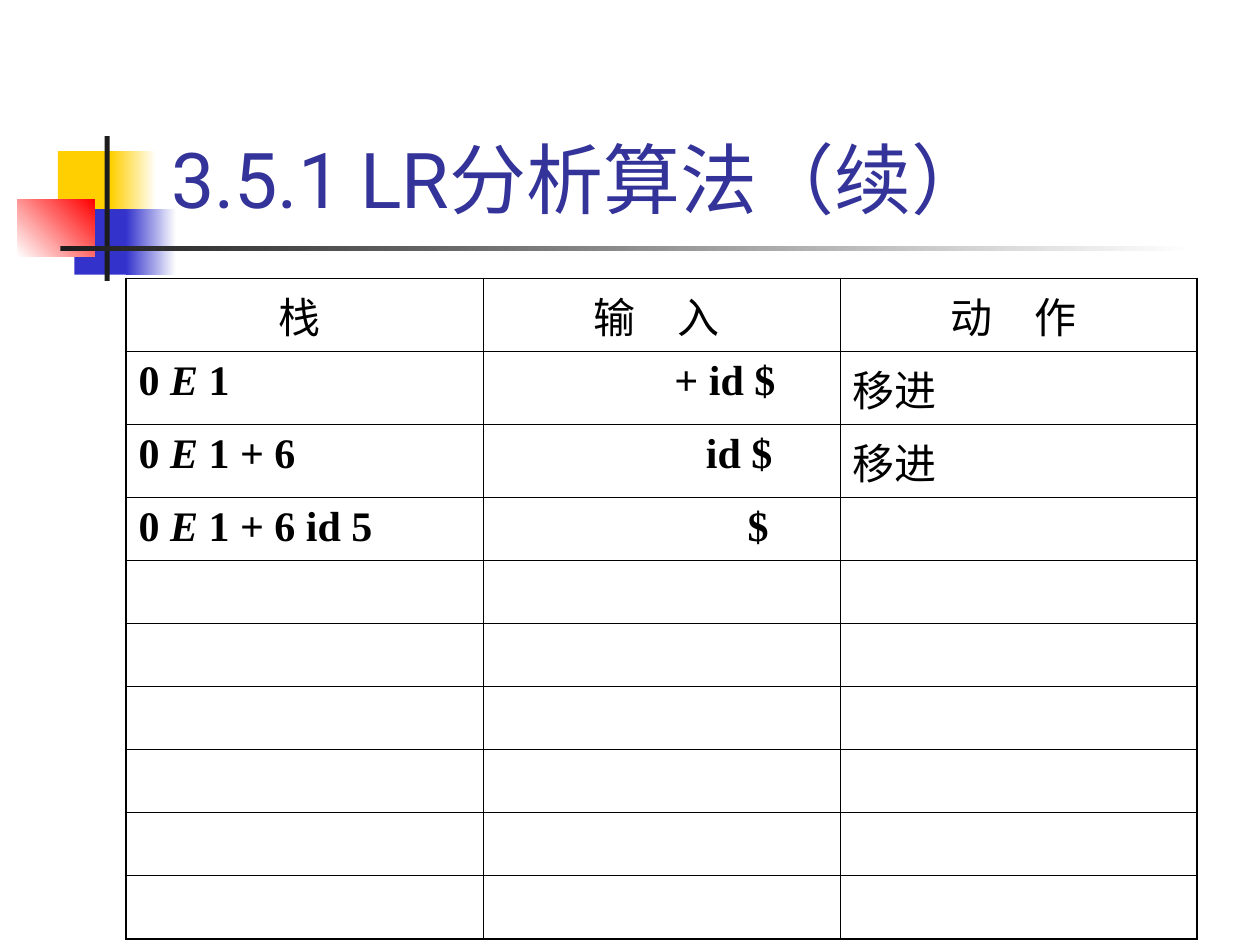
from dataclasses import dataclass

from lxml import etree
from pptx import Presentation
from pptx.dml.color import RGBColor
from pptx.enum.shapes import MSO_SHAPE
from pptx.enum.text import MSO_ANCHOR, PP_ALIGN
from pptx.oxml.ns import qn
from pptx.util import Inches, Pt

RECT = MSO_SHAPE.RECTANGLE
LOW = MSO_ANCHOR.BOTTOM
LEFT, MID = PP_ALIGN.LEFT, PP_ALIGN.CENTER
SANS, SERIF, LATIN = "Noto Sans CJK SC", "Times New Roman", "Roboto"
HUES = {"gold": "FFCF01", "blue": "3333CC", "red": "FF0000", "dark": "1C1C1C",
        "white": "FFFFFF", "title": "333399", "black": "000000"}
TALL, SHORT = 0.58, 0.5
HEIGHTS = [TALL] * 3 + [SHORT] * 7
ROWS, COLS = len(HEIGHTS), 3
THIN, THICK = 0.45, 1.08


@dataclass
class Block:
    left: float
    top: float
    width: float
    height: float
    hue: str
    fade: str = ""
    angle: float = 0


@dataclass
class Run:
    text: str
    face: str = SERIF
    bold: bool = True
    slant: bool = False
    size: float = 24
    hue: str = "black"


@dataclass
class Entry:
    row: int
    col: int
    runs: list[Run]
    align: PP_ALIGN = LEFT
    indent: float = 0


BLOCKS = [
    Block(0.46, 1.2, 0.48, 0.52, "gold"),
    Block(0.88, 1.2, 0.36, 0.52, "gold", "white"),
    Block(0.59, 1.66, 0.46, 0.52, "blue"),
    Block(1, 1.66, 0.4, 0.52, "blue", "white"),
    Block(0.14, 1.58, 0.61, 0.46, "white", "red", 45),
    Block(0.83, 1.08, 0.04, 1.15, "dark"),
    Block(0.48, 1.95, 9, 0.04, "dark", "white"),
]
HEADS = ["栈 ", "输　入 ", "动　作 "]
STEPS = [
    (" 1", "+ id $", 1.42, "移进"),
    (" 1 + 6", "id $", 1.67, "移进"),
    (" 1 + 6 id 5", "$", 2, ""),
]


def color(hue: str) -> RGBColor:
    """Return the named colour."""
    return RGBColor.from_string(HUES[hue])


def draw_block(slide, block: Block) -> None:
    """Draw a plain or fading rectangle."""
    shape = slide.shapes.add_shape(RECT, Inches(block.left), Inches(block.top),
                                   Inches(block.width), Inches(block.height))
    shape.shadow.inherit = False
    shape.line.fill.background()
    if block.fade:
        shape.fill.gradient()
        shape.fill.gradient_angle = block.angle
        for stop, hue in zip(shape.fill.gradient_stops, (block.hue, block.fade)):
            stop.color.rgb = color(hue)
    else:
        shape.fill.solid()
        shape.fill.fore_color.rgb = color(block.hue)


def add_run(para, item: Run) -> None:
    """Add one styled run to a paragraph."""
    run = para.add_run()
    run.text = item.text
    font = run.font
    font.name, font.size = item.face, Pt(item.size)
    font.bold, font.italic = item.bold, item.slant
    font.color.rgb = color(item.hue)
    etree.SubElement(run._r.get_or_add_rPr(), qn("a:ea"), typeface=SANS)


def draw_title(slide) -> None:
    """Draw the slide title."""
    box = slide.shapes.add_textbox(Inches(1.26), Inches(0.23), Inches(8.52), Inches(1.6))
    frame = box.text_frame
    frame.word_wrap = True
    frame.vertical_anchor = LOW
    add_run(frame.paragraphs[0],
            Run("3.5.1 LR分析算法（续）", LATIN, bold=False, size=44, hue="title"))


def set_edges(cell, row: int, col: int) -> None:
    """Rule a cell, thicker on the outside of the table."""
    props = cell._tc.get_or_add_tcPr()
    outer = {"L": col == 0, "R": col == COLS - 1, "T": row == 0, "B": row == ROWS - 1}
    for side, edge in outer.items():
        line = etree.SubElement(props, qn(f"a:ln{side}"),
                                w=str(Pt(THICK if edge else THIN)))
        fill = etree.SubElement(line, qn("a:solidFill"))
        etree.SubElement(fill, qn("a:srgbClr"), val=HUES["black"])


def list_entries() -> list[Entry]:
    """Collect the filled cells of the table."""
    items = [Entry(0, col, [Run(head, SANS, False)], MID)
             for col, head in enumerate(HEADS)]
    for row, (stack, rest, indent, action) in enumerate(STEPS, 1):
        items.append(Entry(row, 0, [Run("0 "), Run("E", slant=True), Run(stack)]))
        items.append(Entry(row, 1, [Run(rest)], indent=indent))
        if action:
            items.append(Entry(row, 2, [Run(action, bold=False)]))
    return items


def draw_table(slide) -> None:
    """Draw the table of parsing steps."""
    table = slide.shapes.add_table(ROWS, COLS, Inches(1), Inches(2.21),
                                   Inches(8.5), Inches(sum(HEIGHTS))).table
    table.first_row = table.horz_banding = False
    for row, height in enumerate(HEIGHTS):
        table.rows[row].height = Inches(height)
        for col in range(COLS):
            cell = table.cell(row, col)
            set_edges(cell, row, col)
            cell.fill.background()
    for item in list_entries():
        para = table.cell(item.row, item.col).text_frame.paragraphs[0]
        para.alignment = item.align
        if item.indent:
            para._p.get_or_add_pPr().set("marL", str(Inches(item.indent)))
        for run in item.runs:
            add_run(para, run)


def main() -> None:
    """Build and save the slide."""
    deck = Presentation()
    deck.slide_width, deck.slide_height = Inches(10), Inches(7.5)
    slide = deck.slides.add_slide(deck.slide_layouts[6])
    for block in BLOCKS:
        draw_block(slide, block)
    draw_title(slide)
    draw_table(slide)
    deck.save("out.pptx")


if __name__ == "__main__":
    main()
